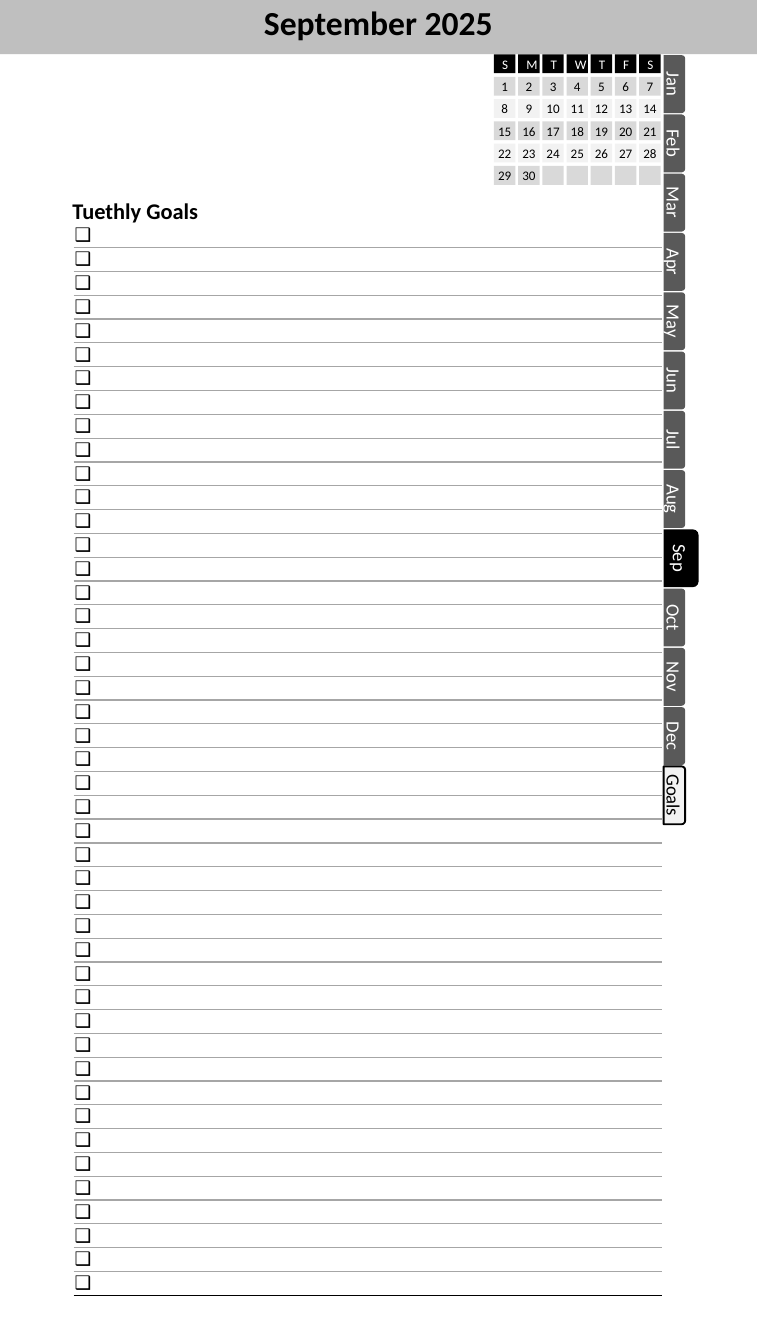
"""Build a monthly planner page with goals, month tabs and a small calendar."""
import dataclasses
import typing

import lxml.etree
import pptx
import pptx.dml.color
import pptx.enum.shapes
import pptx.enum.text
import pptx.oxml
import pptx.oxml.ns
import pptx.util

Pt = pptx.util.Pt
Kind = pptx.enum.shapes.MSO_SHAPE
Align = pptx.enum.text.PP_ALIGN
Anchor = pptx.enum.text.MSO_ANCHOR
Fit = pptx.enum.text.MSO_AUTO_SIZE

FACE = "Calibri"
BLACK, WHITE, PALE, GREY = "000000", "FFFFFF", "F2F2F2", "D9D9D9"
WIDE, HIGH, BAND = 405.36, 720, 29
RIGHT, TAB, STEP = 355.4, 31, 31.75
ROWS, LINE = 45, 12.76
MONTHS = "Jan Feb Mar Apr May Jun Jul Aug Sep Oct Nov Dec".split()


@dataclasses.dataclass
class Box:
    """A filled shape with an optional label."""

    left: float
    top: float
    width: float
    height: float
    fill: str
    text: str = ""
    ink: str = BLACK
    size: float = 7
    kind: typing.Any = Kind.RECTANGLE
    turn: float = 0
    edge: str = ""
    tight: bool = True


def color(code: str) -> pptx.dml.color.RGBColor:
    """Turn a hex string into a colour."""
    return pptx.dml.color.RGBColor.from_string(code)


def style(para: typing.Any, size: float, ink: str = BLACK, bold: bool = False) -> None:
    """Set the font of a paragraph."""
    font = para.font
    font.name, font.size, font.bold = FACE, Pt(size), bold
    font.color.rgb = color(ink)


def inset(frame: typing.Any) -> None:
    """Remove the margins of a text frame or cell."""
    frame.margin_left = frame.margin_right = 0
    frame.margin_top = frame.margin_bottom = 0


def draw(shapes: typing.Any, box: Box) -> None:
    """Draw one box."""
    shape = shapes.add_shape(
        box.kind, Pt(box.left), Pt(box.top), Pt(box.width), Pt(box.height))
    shape.shadow.inherit = False
    shape.rotation = box.turn
    shape.fill.solid()
    shape.fill.fore_color.rgb = color(box.fill)
    if box.edge:
        shape.line.color.rgb = color(box.edge)
        shape.line.width = Pt(1)
    else:
        shape.line.fill.background()
    if box.text:
        frame = shape.text_frame
        frame.vertical_anchor = Anchor.MIDDLE
        if box.tight:
            inset(frame)
        para = frame.paragraphs[0]
        para.text = box.text
        para.alignment = Align.CENTER
        style(para, box.size, box.ink)


def rule(cell: typing.Any, side: str, ink: str) -> None:
    """Add a border to one side of a cell."""
    props = cell._tc.get_or_add_tcPr()
    line = lxml.etree.SubElement(
        props, pptx.oxml.ns.qn(f"a:{side}"), w=str(Pt(0.75)))
    fill = lxml.etree.SubElement(line, pptx.oxml.ns.qn("a:solidFill"))
    lxml.etree.SubElement(fill, pptx.oxml.ns.qn("a:srgbClr"), val=ink)


def check(para: typing.Any) -> None:
    """Give a paragraph a checkbox bullet."""
    props = para._p.get_or_add_pPr()
    props.set("marL", str(Pt(13)))
    props.set("indent", str(-Pt(13)))
    font = pptx.oxml.parse_xml(
        f'<a:buFont {pptx.oxml.ns.nsdecls("a")} typeface="{FACE}"/>')
    mark = pptx.oxml.parse_xml(
        f'<a:buChar {pptx.oxml.ns.nsdecls("a")} char="❑"/>')
    props.insert(0, font)
    font.addnext(mark)


def goals(shapes: typing.Any) -> None:
    """Draw the ruled list of goals and its heading."""
    table = shapes.add_table(
        ROWS, 1, Pt(39.9), Pt(119.9), Pt(314), Pt(ROWS * LINE)).table
    table.first_row = table.horz_banding = False
    for num, row in enumerate(table.rows):
        row.height = Pt(LINE)
        cell = row.cells[0]
        inset(cell)
        cell.vertical_anchor = Anchor.MIDDLE
        if num:
            rule(cell, "lnT", "A6A6A6")
        rule(cell, "lnB", BLACK if num == ROWS - 1 else "A6A6A6")
        cell.fill.background()
        para = cell.text_frame.paragraphs[0]
        para.text = " "
        style(para, 10)
        check(para)
    frame = shapes.add_textbox(Pt(31.7), Pt(102.2), Pt(82.8), Pt(21.6)).text_frame
    frame.word_wrap = False
    frame.auto_size = Fit.SHAPE_TO_FIT_TEXT
    para = frame.paragraphs[0]
    para.text = "Tuethly Goals"
    style(para, 12, bold=True)


def head(title: typing.Any) -> None:
    """Place and format the month title."""
    title.left, title.top = Pt(91.4), Pt(0)
    title.width, title.height = Pt(222.5), Pt(BAND)
    frame = title.text_frame
    frame.auto_size = Fit.NONE
    frame.vertical_anchor = Anchor.TOP
    para = frame.paragraphs[0]
    para.text = "September 2025"
    para.alignment = Align.CENTER
    para.line_spacing = 0.9
    style(para, 18, bold=True)


def tabs(shapes: typing.Any) -> None:
    """Draw the month tabs and the goals tab down the right side."""
    for num, name in enumerate([*MONTHS, "Goals"]):
        now, end = name == "Sep", name == "Goals"
        deep = 18.7 if now else 11.5
        mid = 45.1 + num * STEP
        draw(shapes, Box(
            RIGHT + (deep - TAB) / 2, mid - deep / 2, TAB, deep,
            BLACK if now else PALE if end else "595959", name,
            BLACK if end else WHITE, 10, Kind.ROUND_2_SAME_RECTANGLE, 90,
            BLACK if end else ""))


def month(shapes: typing.Any) -> None:
    """Draw the small calendar as a group."""
    group = shapes.add_group_shape().shapes
    days = [str(day) if day <= 30 else "" for day in range(1, 36)]
    for num, text in enumerate([*"SMTWTFS", *days]):
        row, col = divmod(num, 7)
        fill = GREY if row % 2 else PALE
        draw(group, Box(
            264.5 + col * 12.96, 29.2 + row * 11.95, 11.5, 10.1,
            fill if row else BLACK, text, BLACK if row else WHITE,
            tight=row > 0))


def main() -> None:
    """Build and save the page."""
    deck = pptx.Presentation()
    deck.slide_width, deck.slide_height = Pt(WIDE), Pt(HIGH)
    slide = deck.slides.add_slide(deck.slide_layouts[5])
    shapes = slide.shapes
    draw(shapes, Box(0, 0, WIDE, BAND, "BFBFBF"))
    title = shapes.title
    shapes._spTree.append(title._element)
    head(title)
    goals(shapes)
    tabs(shapes)
    month(shapes)
    deck.save("out.pptx")


main()
